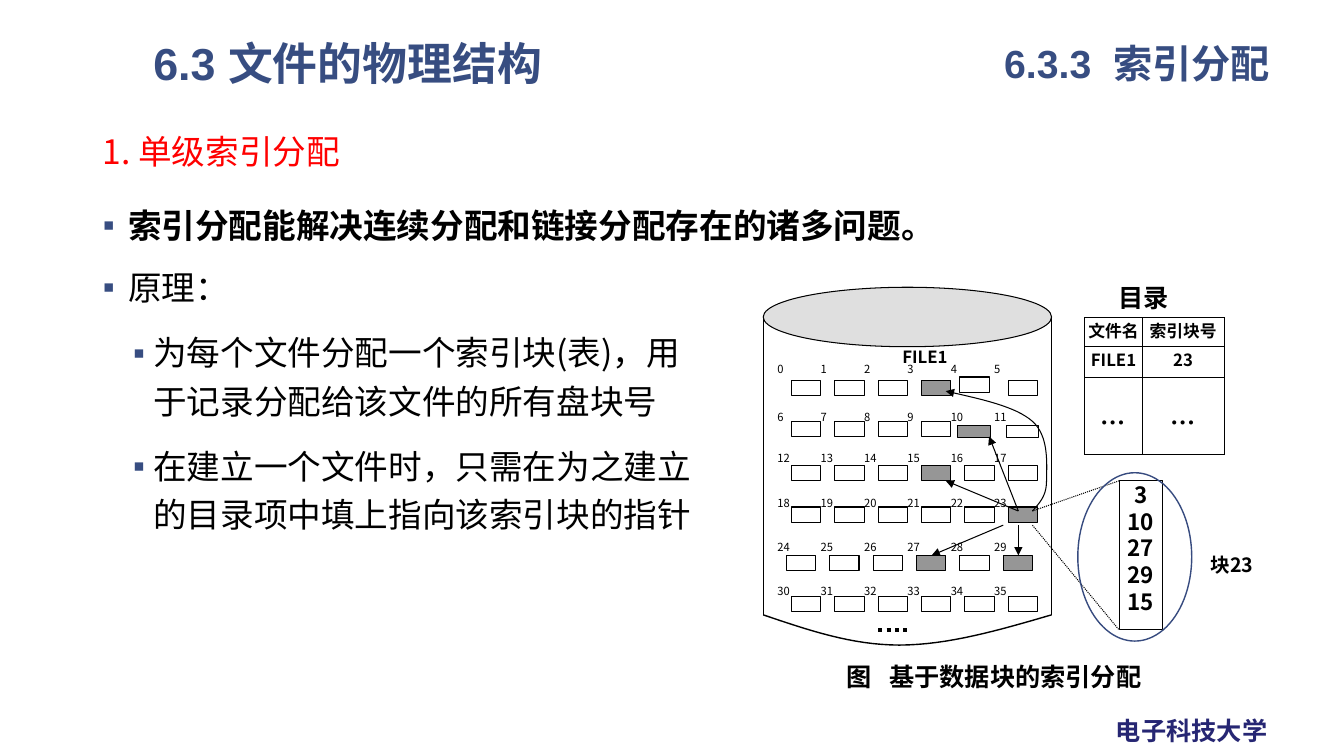
"""Build the slide on single-level indexed file allocation."""
import lxml.etree
import pptx
import pptx.dml.color
import pptx.enum.dml
import pptx.enum.shapes
import pptx.enum.text
import pptx.oxml.ns
import pptx.util

TITLE = "6.3 文件的物理结构"
SECTION = "6.3.3  索引分配"
UNIVERSITY = "电子科技大学"
CAPTION = "图   基于数据块的索引分配"
INTRO = [("heading", "1. 单级索引分配"),
         ("point", "索引分配能解决连续分配和链接分配存在的诸多问题。")]
PRINCIPLE = [("point", "原理："),
             ("detail", "为每个文件分配一个索引块(表)，用于记录分配给该文件的所有盘块号"),
             ("detail", "在建立一个文件时，只需在为之建立的目录项中填上指向该索引块的指针")]
DIRECTORY = [("文件名", "索引块号"), ("FILE1", "23"), ("…", "…")]
INDEX_BLOCK = ["3", "10", "27", "29", "15"]
USED_BLOCKS = {3, 10, 15, 23, 27, 29}
LABEL_TOPS = [3.59, 4.07, 4.48, 4.92, 5.36, 5.8]
BLOCK_TOPS = [3.77, 4.18, 4.62, 5.03, 5.51, 5.92]
MOVED_BLOCKS = {4: (9.52, 3.74, 0.29, 0.15), 10: (9.5, 4.22, 0.32, 0.12),
                11: (9.98, 4.22, 0.32, 0.12)}
POINTERS = [(9.95, 5.21, 9.24, 5.51), (10.1, 5.07, 9.38, 4.77),
            (10.1, 5.07, 9.81, 4.33), (10.1, 5.21, 10.1, 5.51)]
ZOOM_LINES = [(10.24, 5.07, 11.1, 4.77), (10.24, 5.21, 11.1, 6.25)]
DISK_SIDES = [(7.57, 3.15, 7.57, 6.1), (10.43, 3.15, 10.43, 6.1)]
DISK_BOTTOM = [(7.57, 6.1), (8.01, 6.25), (8.45, 6.4), (8.92, 6.4),
               (9.4, 6.4), (9.92, 6.25), (10.43, 6.1)]
POINTER_TO_3 = [(10.24, 5.07), (10.31, 4.99), (10.38, 4.92), (10.38, 4.77),
                (10.38, 4.62), (10.41, 4.33), (10.24, 4.18),
                (10.07, 4.03), (9.73, 3.96), (9.38, 3.88)]

THEME = {"cjk": "Noto Sans CJK SC", "latin": "Arial", "navy": "374D81",
         "ring": "374B7F", "footer": "262673", "red": "FF0000", "black": "000000",
         "used": "969696", "lid": "C0C0C0", "title": 32, "section": 28, "body": 24,
         "label": 18, "index": 16, "note": 14, "cell": 12, "number": 8}
LIST_STYLES = {
    "heading": dict(level=0, left=0, hang=0, before=18, color="red"),
    "point": dict(level=0, left=0.25, hang=0.25, before=18, color="black"),
    "detail": dict(level=1, left=0.5, hang=0.2, before=12, color="black")}

Inches = pptx.util.Inches
ALIGN = pptx.enum.text.PP_ALIGN
ANCHOR = pptx.enum.text.MSO_ANCHOR
SHAPE = pptx.enum.shapes.MSO_SHAPE
DOTS = pptx.enum.dml.MSO_LINE.ROUND_DOT


def rgb(name):
    """Return a theme colour."""
    return pptx.dml.color.RGBColor.from_string(THEME[name])


def assign(target, values):
    """Set each attribute of the target from a dict."""
    for key, value in values.items():
        setattr(target, key, value)


def child(parent, tag, **attributes):
    """Append a drawing element."""
    return lxml.etree.SubElement(parent, pptx.oxml.ns.qn(tag), attributes)


def place(part, box):
    """Move a part to a box in inches."""
    assign(part, dict(zip(("left", "top", "width", "height"), map(Inches, box))))


def write(paragraph, text, size, color="black", bold=True, latin="cjk"):
    """Add one formatted run to a paragraph."""
    run = paragraph.add_run()
    run.text = text
    assign(run.font, dict(size=pptx.util.Pt(THEME[size]), bold=bold, name=THEME[latin]))
    run.font.color.rgb = rgb(color)
    child(run.font._element, "a:ea", typeface=THEME["cjk"])


def set_frame(frame, inset=True, anchor=ANCHOR.TOP, wrap=True):
    """Format a text frame."""
    assign(frame, dict(word_wrap=wrap, vertical_anchor=anchor,
                       auto_size=pptx.enum.text.MSO_AUTO_SIZE.NONE))
    if not inset:
        assign(frame, dict.fromkeys(
            ("margin_left", "margin_right", "margin_top", "margin_bottom"), 0))


def add_label(slide, box, text, size, align=ALIGN.CENTER, color="black", bold=True,
              **frame_format):
    """Add a text box holding one paragraph."""
    frame = slide.shapes.add_textbox(*map(Inches, box)).text_frame
    set_frame(frame, **frame_format)
    frame.paragraphs[0].alignment = align
    write(frame.paragraphs[0], text, size, color, bold)


def set_outline(part, width=0.75, color="black", dash=None, arrow=False):
    """Format a line, with an arrowhead at its end if asked."""
    part.line.width = pptx.util.Pt(width)
    part.line.color.rgb = rgb(color)
    if dash:
        part.line.dash_style = dash
    if arrow:
        child(part.line._get_or_add_ln(), "a:tailEnd", type="triangle")


def add_outline(slide, kind, box, fill=None, **outline):
    """Add a preset shape with an outline and an optional fill."""
    part = slide.shapes.add_shape(kind, *map(Inches, box))
    part.shadow.inherit = False
    if fill:
        part.fill.solid()
        part.fill.fore_color.rgb = rgb(fill)
    else:
        part.fill.background()
    set_outline(part, **outline)
    return part


def add_line(slide, ends, **outline):
    """Add a straight line between two points."""
    line = slide.shapes.add_connector(
        pptx.enum.shapes.MSO_CONNECTOR.STRAIGHT, *map(Inches, ends))
    set_outline(line, **outline)
    child(line._element.spPr, "a:effectLst")


def add_curve(slide, controls, steps=16, **outline):
    """Draw joined cubic curves as an open freeform."""
    points = []
    for start in range(0, len(controls) - 1, 3):
        for step in range(1, steps + 1):
            t = step / steps
            weights = ((1 - t) ** 3, 3 * t * (1 - t) ** 2, 3 * t * t * (1 - t), t ** 3)
            points.append(tuple(
                Inches(sum(w * p[axis] for w, p in zip(weights, controls[start:start + 4])))
                for axis in (0, 1)))
    builder = slide.shapes.build_freeform(*map(Inches, controls[0]))
    builder.add_line_segments(points, close=False)
    curve = builder.convert_to_shape()
    curve.shadow.inherit = False
    curve.fill.background()
    set_outline(curve, **outline)


def add_heading(placeholder, box, text, size):
    """Fill a placeholder with a one-line heading."""
    place(placeholder, box)
    set_frame(placeholder.text_frame)
    paragraph = placeholder.text_frame.paragraphs[0]
    assign(paragraph, dict(alignment=ALIGN.LEFT, line_spacing=0.9))
    write(paragraph, text, size, "navy", latin="latin")


def add_list(placeholder, box, items, bold_item=None):
    """Fill a body placeholder with styled list items."""
    place(placeholder, box)
    frame = placeholder.text_frame
    set_frame(frame)
    for position, (kind, text) in enumerate(items):
        style = LIST_STYLES[kind]
        paragraph = frame.add_paragraph() if position else frame.paragraphs[0]
        before = pptx.util.Pt(style["before"] if position else 0)
        assign(paragraph, dict(level=style["level"], line_spacing=1.2, space_before=before))
        properties = paragraph._p.get_or_add_pPr()
        properties.set("marL", str(Inches(style["left"])))
        properties.set("indent", str(-Inches(style["hang"])))
        if style["hang"]:
            child(child(properties, "a:buClr"), "a:srgbClr", val=THEME["navy"])
            child(properties, "a:buFont", typeface=THEME["latin"])
            child(properties, "a:buChar", char="▪")
        else:
            child(properties, "a:buNone")
        write(paragraph, text, "body", style["color"], position == bold_item)


def add_directory(slide):
    """Add the directory table."""
    table = slide.shapes.add_table(3, 2, *map(Inches, (10.76, 3.15, 1.38, 1.36))).table
    assign(table, dict(first_row=False, horz_banding=False))
    for column, width in zip(table.columns, (0.57, 0.81)):
        column.width = Inches(width)
    for row, height, texts in zip(table.rows, (0.29, 0.3, 0.77), DIRECTORY):
        row.height = Inches(height)
        for cell, text in zip(row.cells, texts):
            ellipsis = text == "…"
            assign(cell, dict(margin_left=0, margin_right=0, margin_bottom=0,
                              margin_top=Inches(0.12 if ellipsis else 0),
                              vertical_anchor=ANCHOR.MIDDLE if ellipsis else ANCHOR.TOP))
            cell.text_frame.paragraphs[0].alignment = ALIGN.CENTER
            write(cell.text_frame.paragraphs[0], text, "label" if ellipsis else "cell")
            for side in ("a:lnL", "a:lnR", "a:lnT", "a:lnB"):
                border = child(cell._tc.get_or_add_tcPr(), side, w=str(pptx.util.Pt(0.75)))
                child(child(border, "a:solidFill"), "a:srgbClr", val=THEME["black"])
            cell.fill.background()


def add_disk(slide):
    """Draw the disk with its numbered blocks and pointers."""
    lid = add_outline(slide, SHAPE.OVAL, (7.57, 2.85, 2.86, 0.59), "lid")
    child(lid.fill._xPr.find(".//" + pptx.oxml.ns.qn("a:srgbClr")), "a:alpha", val="50000")
    for side in DISK_SIDES:
        add_line(slide, side)
    add_curve(slide, DISK_BOTTOM, width=1)
    add_line(slide, (8.71, 6.25, 9, 6.25), width=3, dash=DOTS)
    add_label(slide, (8.95, 3.44, 0.57, 0.29), "FILE1", "cell", ALIGN.LEFT, inset=False)
    for number in range(36):
        row, column = divmod(number, 6)
        add_label(slide, (7.71 + 0.43 * column, LABEL_TOPS[row], 0.29, 0.29), str(number),
                  "number", ALIGN.LEFT, bold=False, inset=False)
        left = (7.8 if row == 4 else 7.85) + 0.43 * column
        box = MOVED_BLOCKS.get(number, (left, BLOCK_TOPS[row], 0.29, 0.15))
        add_outline(slide, SHAPE.RECTANGLE, box, "used" if number in USED_BLOCKS else None)
    for pointer in POINTERS:
        add_line(slide, pointer, arrow=True)
    add_curve(slide, POINTER_TO_3, arrow=True)


def add_index_block(slide):
    """Draw the enlarged index block."""
    block = add_outline(slide, SHAPE.RECTANGLE, (11.1, 4.77, 0.43, 1.48))
    frame = block.text_frame
    set_frame(frame, inset=False)
    for position, number in enumerate(INDEX_BLOCK):
        paragraph = frame.add_paragraph() if position else frame.paragraphs[0]
        paragraph.alignment = ALIGN.CENTER
        write(paragraph, number, "index")
    for zoom_line in ZOOM_LINES:
        add_line(slide, zoom_line, dash=DOTS)
    add_outline(slide, SHAPE.OVAL, (10.69, 4.69, 1.13, 1.67), color="ring", width=1)
    add_label(slide, (11.9, 5.29, 0.64, 0.63), "块23", "note", anchor=ANCHOR.MIDDLE)


def main():
    """Assemble and save the slide."""
    deck = pptx.Presentation()
    assign(deck, dict(slide_width=Inches(13.33), slide_height=Inches(7.5)))
    slide = deck.slides.add_slide(deck.slide_layouts[4])
    title, section, intro, spare, principle = list(slide.placeholders)
    spare._element.getparent().remove(spare._element)
    add_heading(title, (1.42, 0.36, 7.26, 0.67), TITLE, "title")
    add_heading(section, (9.86, 0.39, 3.06, 0.62), SECTION, "section")
    add_list(intro, (0.92, 1.17, 9.71, 1.49), INTRO, bold_item=1)
    add_list(principle, (0.92, 2.52, 6.12, 4.5), PRINCIPLE)
    add_label(slide, (10.97, 7.05, 1.72, 0.4), UNIVERSITY, "label", ALIGN.LEFT, "footer", wrap=False)
    add_label(slide, (10.65, 2.8, 1.38, 0.3), "目录", "label", inset=False)
    add_label(slide, (7.57, 6.51, 4.58, 0.48), CAPTION, "label")
    add_directory(slide)
    add_disk(slide)
    add_index_block(slide)
    deck.save("out.pptx")


if __name__ == "__main__":
    main()
